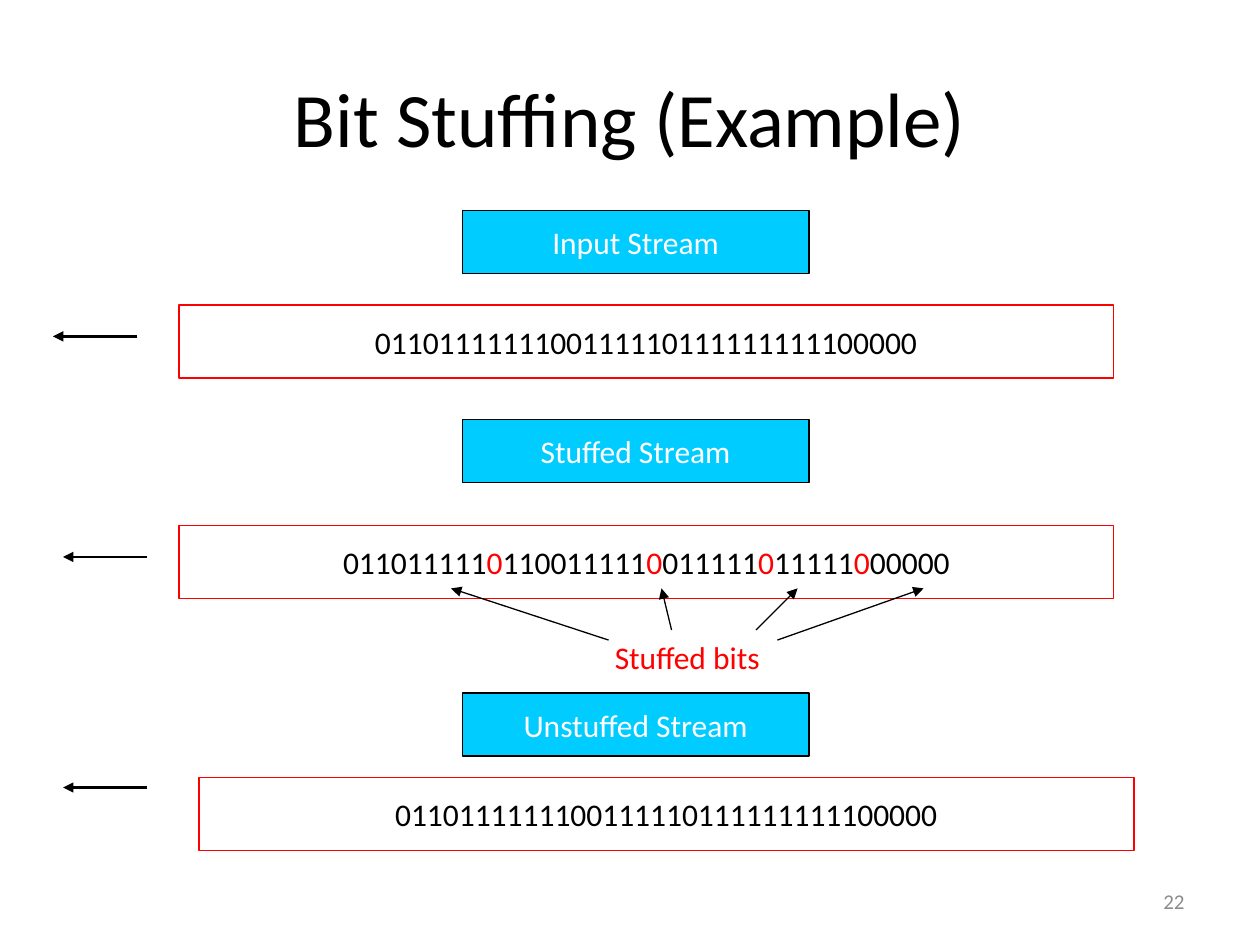
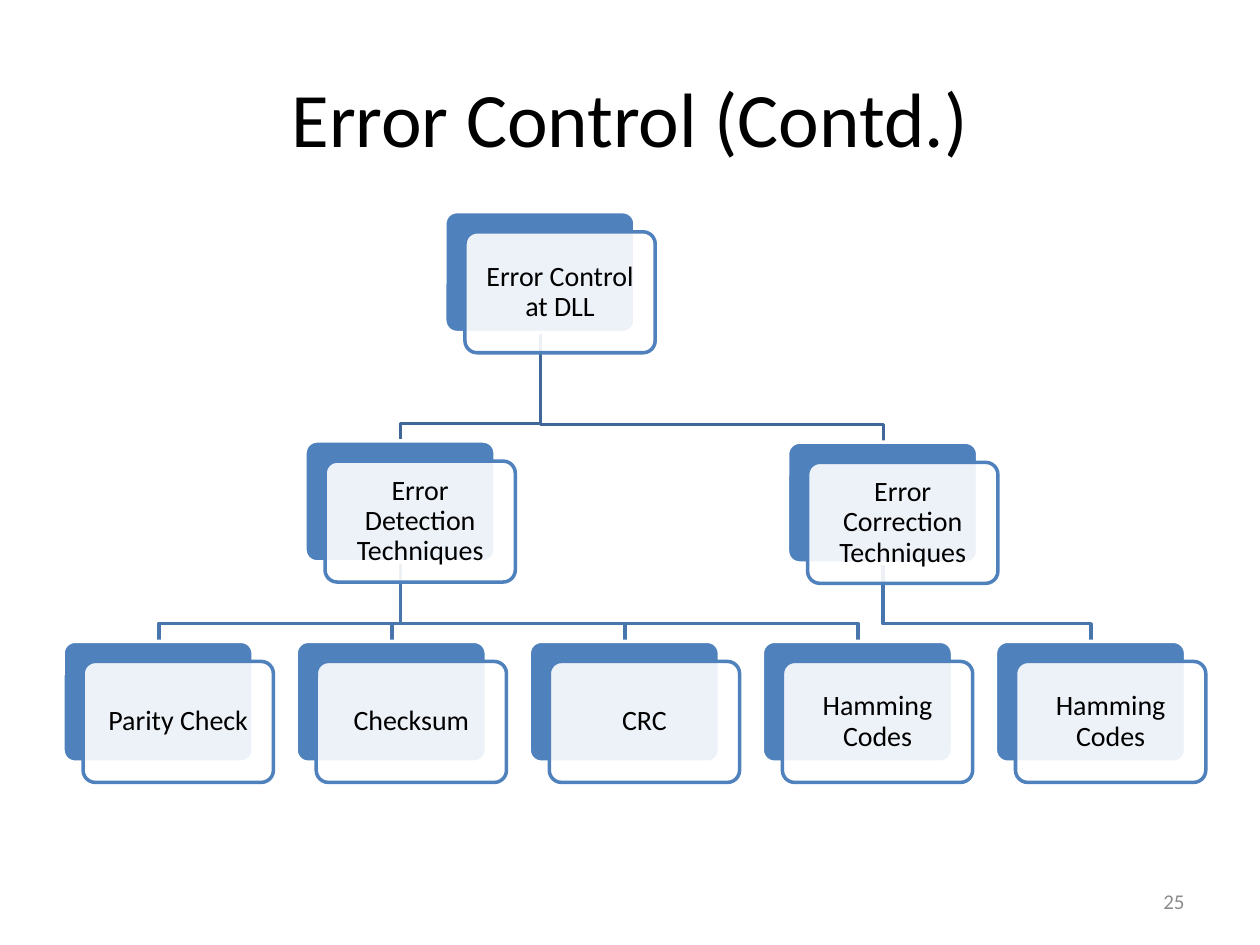
from dataclasses import dataclass
from typing import NamedTuple

from lxml.etree import SubElement
from pptx import Presentation
from pptx.dml.color import RGBColor
from pptx.enum.shapes import MSO_CONNECTOR, MSO_SHAPE
from pptx.enum.text import MSO_ANCHOR, PP_ALIGN
from pptx.oxml.ns import qn
from pptx.presentation import Presentation as Deck
from pptx.shapes.autoshape import Shape
from pptx.slide import Slide
from pptx.text.text import TextFrame
from pptx.util import Pt

PX = 9144


@dataclass(frozen=True)
class Theme:
    font: str = "Calibri"
    black: str = "000000"
    white: str = "FFFFFF"
    red: str = "FF0000"
    grey: str = "8C8C8C"
    cyan: str = "00CCFF"
    blue: str = "4F81BD"
    stems: tuple[str, ...] = ("3F6797", "4875AC")
    title: int = 44
    body: int = 18
    card: int = 16
    foot: int = 12
    thin: float = 0.75
    bold: float = 1.5
    tree: float = 2


THEME = Theme()


class Box(NamedTuple):
    left: int
    top: int
    width: int
    height: int


class Style(NamedTuple):
    size: int
    ink: str = THEME.black
    accent: str = THEME.red
    align: PP_ALIGN = PP_ALIGN.CENTER


class Panel(NamedTuple):
    text: str
    box: Box
    fill: str
    edge: str
    ink: str


class Arrow(NamedTuple):
    start: tuple[int, int]
    end: tuple[int, int]
    weight: float


@dataclass(frozen=True)
class Node:
    text: str
    left: int
    top: int
    kids: tuple["Node", ...] = ()


CARD_W, CARD_H = 151, 96
SHIFT = 16
STEM = 76
BEND = 14


def color(code: str) -> RGBColor:
    return RGBColor.from_string(code)


def write(frame: TextFrame, text: str, style: Style, wrap: bool = True) -> None:
    frame.word_wrap = wrap
    frame.vertical_anchor = MSO_ANCHOR.MIDDLE
    line = frame.paragraphs[0]
    line.alignment = style.align
    for index, part in enumerate(text.split("|")):
        run = line.add_run()
        run.text = part
        run.font.name = THEME.font
        run.font.size = Pt(style.size)
        run.font.color.rgb = color(style.accent if index % 2 else style.ink)


def add_text(slide: Slide, box: Box, text: str, style: Style) -> None:
    field = slide.shapes.add_textbox(*(side * PX for side in box))
    write(field.text_frame, text, style)


def add_block(slide: Slide, kind: MSO_SHAPE, box: Box, fill: str,
              edge: str, weight: float) -> Shape:
    block = slide.shapes.add_shape(kind, *(side * PX for side in box))
    block.shadow.inherit = False
    block.fill.solid()
    block.fill.fore_color.rgb = color(fill)
    block.line.color.rgb = color(edge)
    block.line.width = Pt(weight)
    return block


def add_panel(slide: Slide, panel: Panel) -> None:
    block = add_block(slide, MSO_SHAPE.RECTANGLE, panel.box, panel.fill,
                      panel.edge, THEME.thin)
    write(block.text_frame, panel.text, Style(THEME.body, panel.ink), False)


def add_arrow(slide: Slide, arrow: Arrow) -> None:
    ends = (value * PX for value in arrow.start + arrow.end)
    link = slide.shapes.add_connector(MSO_CONNECTOR.STRAIGHT, *ends)
    link.line.color.rgb = color(THEME.black)
    link.line.width = Pt(arrow.weight)
    props = link.element.spPr
    SubElement(props.find(qn("a:ln")), qn("a:tailEnd"), type="triangle")
    SubElement(props, qn("a:effectLst"))


def add_card(slide: Slide, left: int, top: int, fill: str, edge: str) -> Shape:
    card = add_block(slide, MSO_SHAPE.ROUNDED_RECTANGLE,
                     Box(left, top, CARD_W, CARD_H), fill, edge, THEME.tree)
    card.adjustments[0] = 0.1
    return card


def add_node(slide: Slide, node: Node) -> None:
    add_card(slide, node.left, node.top, THEME.blue, THEME.white)
    card = add_card(slide, node.left + SHIFT, node.top + SHIFT,
                    THEME.white, THEME.blue)
    tint = card.element.spPr.find(qn("a:solidFill")).find(qn("a:srgbClr"))
    SubElement(tint, qn("a:alpha"), val="90000")
    frame = card.text_frame
    frame.margin_left = frame.margin_right = 7 * PX
    frame.margin_top = frame.margin_bottom = 7 * PX
    write(frame, node.text, Style(THEME.card))
    frame.paragraphs[0].line_spacing = 0.9
    for kid in node.kids:
        add_node(slide, kid)


def add_stems(slide: Slide, node: Node, level: int = 0) -> None:
    start = node.left + STEM
    for kid in node.kids:
        add_stems(slide, kid, level + 1)
        end, bend = kid.left + STEM, kid.top - BEND
        pen = slide.shapes.build_freeform(start, node.top + CARD_H, PX)
        pen.add_line_segments([(start, bend), (end, bend), (end, kid.top)], False)
        stem = pen.convert_to_shape()
        stem.shadow.inherit = False
        stem.fill.background()
        stem.line.color.rgb = color(THEME.stems[level])
        stem.line.width = Pt(THEME.tree)


def add_page(deck: Deck, title: str, number: int) -> Slide:
    slide = deck.slides.add_slide(deck.slide_layouts[6])
    add_text(slide, Box(50, 30, 900, 125), title, Style(THEME.title))
    add_text(slide, Box(717, 695, 233, 40), str(number),
             Style(THEME.foot, THEME.grey, align=PP_ALIGN.RIGHT))
    return slide


def label(text: str, top: int) -> Panel:
    return Panel(text, Box(367, top, 275, 50), THEME.cyan, THEME.black, THEME.white)


def stream(bits: str, left: int, top: int) -> Panel:
    return Panel(bits, Box(left, top, 742, 58), THEME.white, THEME.red, THEME.black)


def flow(left: int, top: int) -> Arrow:
    return Arrow((left + 67, top), (left, top), THEME.bold)


def hint(start: tuple[int, int], end: int) -> Arrow:
    return Arrow(start, (end, 467), THEME.thin)


def draw_bits(deck: Deck) -> None:
    slide = add_page(deck, "Bit Stuffing (Example)", 22)
    plain = "0110111111100111110111111111100000"
    stuffed = "011011111|0|110011111|0|011111|0|11111|0|00000"
    panels = (
        label("Input Stream", 167),
        label("Stuffed Stream", 333),
        label("Unstuffed Stream", 550),
        stream(plain, 142, 242),
        stream(stuffed, 142, 417),
        stream(plain, 158, 617),
        Panel("Stuffed bits", Box(458, 500, 175, 42),
              THEME.white, THEME.white, THEME.red),
    )
    arrows = (
        flow(42, 267), flow(50, 442), flow(50, 625),
        hint((617, 508), 733), hint((600, 500), 633),
        hint((533, 500), 525), hint((483, 508), 358),
    )
    for panel in panels:
        add_panel(slide, panel)
    for arrow in arrows:
        add_arrow(slide, arrow)


def draw_tree(deck: Deck) -> None:
    slide = add_page(deck, "Error Control (Contd.)", 25)
    names = ("Parity Check", "Checksum", "CRC", "Hamming Codes", "Hamming Codes")
    leaves = tuple(Node(name, 50 + 185 * index, 509)
                   for index, name in enumerate(names))
    root = Node("Error Control at DLL", 353, 168, (
        Node("Error Detection Techniques", 242, 350, leaves[:4]),
        Node("Error Correction Techniques", 625, 351, leaves[4:]),
    ))
    add_stems(slide, root)
    add_node(slide, root)


def main() -> None:
    deck = Presentation()
    deck.slide_width, deck.slide_height = 1000 * PX, 750 * PX
    draw_bits(deck)
    draw_tree(deck)
    deck.save("out.pptx")


if __name__ == "__main__":
    main()
